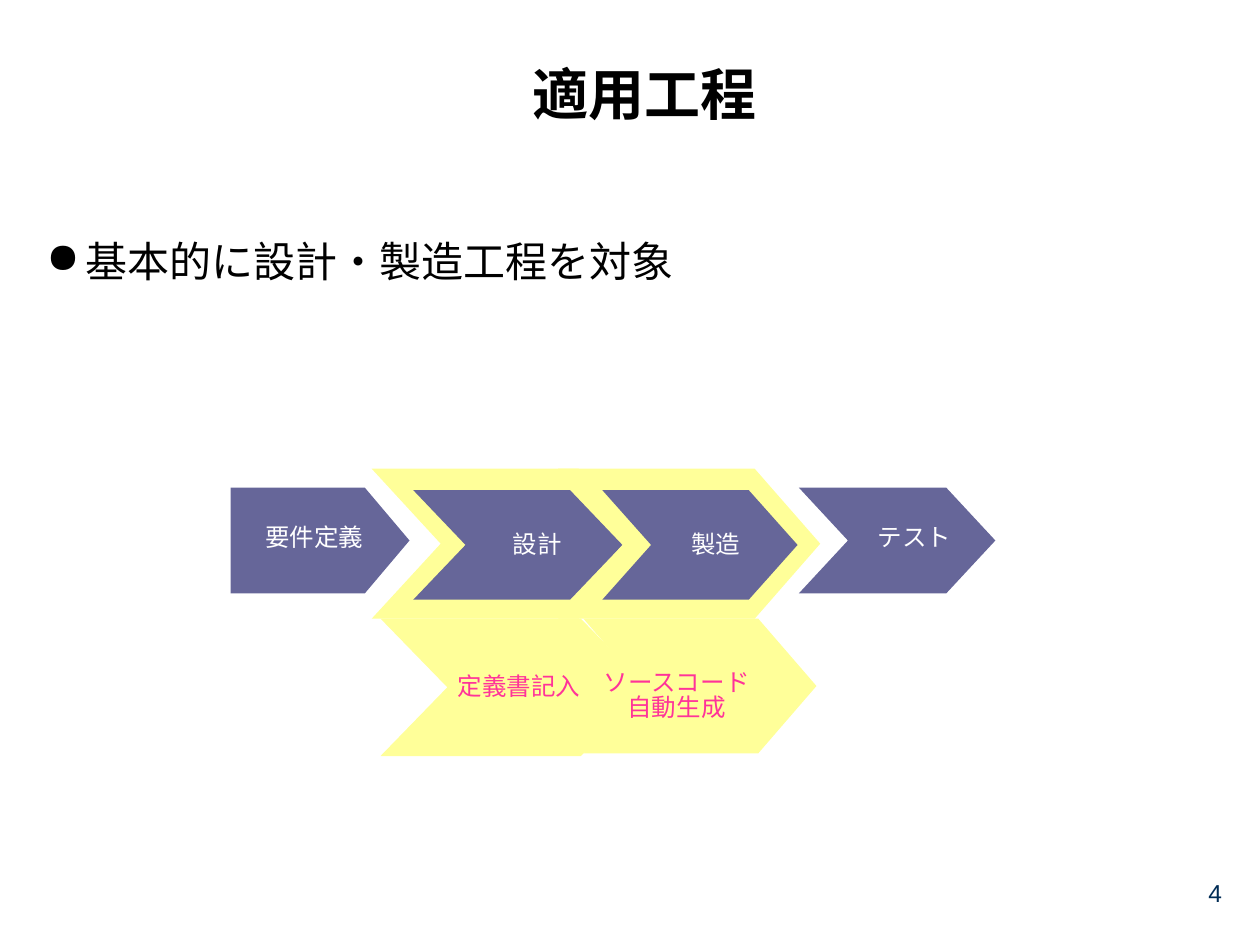
from typing import NamedTuple

from lxml import etree
from pptx import Presentation
from pptx.dml.color import RGBColor
from pptx.enum.shapes import MSO_SHAPE
from pptx.enum.text import MSO_ANCHOR, PP_ALIGN
from pptx.oxml.ns import qn
from pptx.util import Inches, Pt

CHEVRON = MSO_SHAPE.CHEVRON
PENTAGON = MSO_SHAPE.PENTAGON
TOP = MSO_ANCHOR.TOP
MIDDLE = MSO_ANCHOR.MIDDLE
LEFT = PP_ALIGN.LEFT
CENTER = PP_ALIGN.CENTER

SLIDE_WIDTH = Inches(10)
SLIDE_HEIGHT = Inches(7.5)
COLUMN = SLIDE_WIDTH / 100
ROW = SLIDE_HEIGHT / 75

BLACK = "000000"
WHITE = "FFFFFF"
NAVY = "002C55"
PURPLE = "666699"
YELLOW = "FFFF99"
PINK = "FF3399"

BULLET_INDENT = Inches(0.31)


class Box(NamedTuple):
    column: float
    row: float
    columns: float
    rows: float

    def lengths(self) -> tuple[int, int, int, int]:
        return (
            round(self.column * COLUMN),
            round(self.row * ROW),
            round(self.columns * COLUMN),
            round(self.rows * ROW),
        )


class Arrow(NamedTuple):
    box: Box
    fill: str
    kind: MSO_SHAPE = CHEVRON
    tip_share: float = 0.25


class Label(NamedTuple):
    text: str
    box: Box
    color: str = WHITE


PROCESS = [
    Arrow(Box(18.3, 38.7, 14.2, 8.4), PURPLE, PENTAGON, 0.25),
    Label("要件定義", Box(20, 41.3, 9.9, 3)),
    Arrow(Box(29.5, 37.2, 21.9, 11.9), YELLOW),
    Arrow(Box(32.8, 38.9, 16.6, 8.7), PURPLE),
    Label("設計", Box(39.5, 41.8, 6.3, 3)),
    Arrow(Box(44.3, 37.2, 20.8, 11.9), YELLOW),
    Arrow(Box(47.8, 38.9, 15.5, 8.7), PURPLE),
    Label("製造", Box(53.8, 41.8, 6, 3)),
    Arrow(Box(63.4, 38.7, 15.6, 8.4), PURPLE),
    Label("テスト", Box(68.5, 41.3, 8.2, 3)),
    Arrow(Box(46.3, 49.1, 18.5, 10.7), YELLOW),
    Arrow(Box(30.2, 49.1, 21.2, 10.9), YELLOW),
    Label("定義書記入", Box(34.9, 53.1, 12.6, 3), PINK),
    Label("ソースコード\n自動生成", Box(46.6, 52.8, 14.2, 5), PINK),
]


def rgb(color: str) -> RGBColor:
    return RGBColor.from_string(color)


def add_bullet(paragraph, character: str, color: str) -> None:
    properties = paragraph._p.get_or_add_pPr()
    properties.set("marL", str(BULLET_INDENT))
    properties.set("indent", str(-BULLET_INDENT))
    bullet_color = etree.SubElement(properties, qn("a:buClr"))
    etree.SubElement(bullet_color, qn("a:srgbClr"), val=color)
    etree.SubElement(properties, qn("a:buChar"), char=character)


def add_text(
    slide,
    text: str,
    box: Box,
    *,
    size: float,
    color: str,
    font: str = "Arial",
    bold: bool = False,
    align: PP_ALIGN = CENTER,
    anchor: MSO_ANCHOR = TOP,
    spacing: float = 1.1,
    wrap: bool = True,
    bullet: str = "",
) -> None:
    frame = slide.shapes.add_textbox(*box.lengths()).text_frame
    frame.word_wrap = wrap
    frame.vertical_anchor = anchor
    frame.text = text
    for paragraph in frame.paragraphs:
        paragraph.alignment = align
        paragraph.line_spacing = spacing
        if bullet:
            add_bullet(paragraph, bullet, color)
        for run in paragraph.runs:
            run.font.name = font
            run.font.size = Pt(size)
            run.font.bold = bold
            run.font.color.rgb = rgb(color)


def add_arrow(slide, arrow: Arrow) -> None:
    shape = slide.shapes.add_shape(arrow.kind, *arrow.box.lengths())
    shape.adjustments[0] = arrow.tip_share * shape.width / min(shape.width, shape.height)
    shape.shadow.inherit = False
    shape.fill.solid()
    shape.fill.fore_color.rgb = rgb(arrow.fill)
    shape.line.fill.background()


def add_label(slide, label: Label) -> None:
    add_text(slide, label.text, label.box, size=14, color=label.color,
             font="Times New Roman", spacing=0.86, wrap=False)


def main() -> None:
    presentation = Presentation()
    presentation.slide_width = SLIDE_WIDTH
    presentation.slide_height = SLIDE_HEIGHT
    slide = presentation.slides.add_slide(presentation.slide_layouts[6])

    add_text(slide, "適用工程", Box(9.8, 2, 82.8, 10.2), size=32,
             color=BLACK, bold=True, anchor=MIDDLE)
    add_text(slide, "基本的に設計・製造工程を対象", Box(2.7, 17.8, 95.3, 5.4),
             size=24, color=BLACK, align=LEFT, bullet="●")
    for element in PROCESS:
        if isinstance(element, Arrow):
            add_arrow(slide, element)
        else:
            add_label(slide, element)
    add_text(slide, "4", Box(93.9, 68, 5.1, 5.5), size=14, color=NAVY, anchor=MIDDLE)

    presentation.save("out.pptx")


if __name__ == "__main__":
    main()
